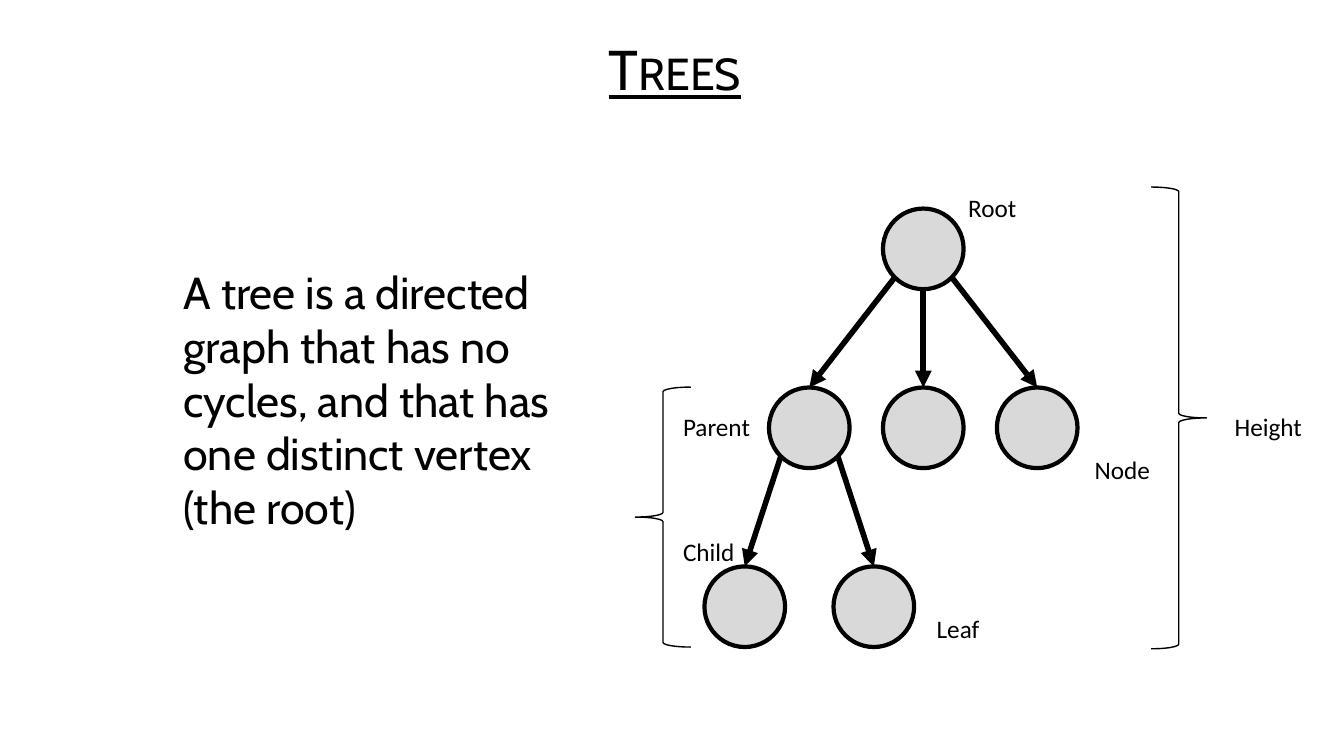
from math import sqrt

from lxml.etree import SubElement
from pptx import Presentation
from pptx.dml.color import RGBColor
from pptx.enum.shapes import MSO_CONNECTOR as Connector, MSO_SHAPE as Preset
from pptx.enum.text import MSO_ANCHOR as Anchor, PP_ALIGN as Align
from pptx.oxml.ns import qn
from pptx.util import Pt

TITLE = "Trees"
DEFINITION = ("A tree is a directed graph that has no cycles, "
              "and that has one distinct vertex (the root)")

# node: (parent, level, steps right of the parent)
NODES = {
    "root": (None, 0, 0),
    "left": ("root", 1, -1),
    "middle": ("root", 1, 0),
    "right": ("root", 1, 1),
    "left child": ("left", 2, -0.5),
    "right child": ("left", 2, 0.5),
}
# text, left, top, width
LABELS = [
    ("Root", 684.5, 134.1, 49),
    ("Parent", 480.8, 290.2, 62.6),
    ("Child", 480.8, 379.6, 51.8),
    ("Leaf", 662, 434.4, 45.4),
    ("Node", 774.8, 320.9, 54.7),
    ("Height", 874.8, 290.2, 63.4),
]
# left, top, width, height, rotation
BRACES = [
    (453.8, 276.5, 39.6, 185.7, 0),
    (822.2, 133.6, 39.6, 329.8, 180),
]

THEME = {
    "ink": RGBColor(0x00, 0x00, 0x00),
    "node": RGBColor(0xD9, 0xD9, 0xD9),
    "heading_font": "Cabin",
    "label_font": "Calibri",
    "title_size": 40,
    "body_size": 32,
    "label_size": 18,
}
ROOT_X, ROOT_Y = 659.5, 177.8
DIAMETER = 57.6
LEVEL_GAP = 127.8
STEPS = {0: 0, 1: 81.4, 2: 92.2}


def add_text(slide, text, left, top, width, height, *, font, size, wrap=True,
             anchor=Anchor.MIDDLE, align=Align.LEFT, inset=7.2,
             line_spacing=None, underline=None, small_caps=False):
    box = slide.shapes.add_textbox(Pt(left), Pt(top), Pt(width), Pt(height))
    frame = box.text_frame
    frame.word_wrap = wrap
    frame.vertical_anchor = anchor
    frame.margin_left = Pt(inset)
    paragraph = frame.paragraphs[0]
    paragraph.alignment = align
    paragraph.line_spacing = line_spacing
    run = paragraph.add_run()
    run.text = text
    run.font.name = font
    run.font.size = Pt(size)
    run.font.color.rgb = THEME["ink"]
    run.font.underline = underline
    if small_caps:
        run.font._element.set("cap", "small")


def add_outlined(slide, preset, left, top, width, height, line_width):
    shape = slide.shapes.add_shape(preset, Pt(left), Pt(top), Pt(width), Pt(height))
    shape.shadow.inherit = False
    shape.fill.background()
    shape.line.color.rgb = THEME["ink"]
    shape.line.width = Pt(line_width)
    return shape


def add_arrow(slide, start, child):
    """Draw an arrow from a point to the top of the child node."""
    arrow = slide.shapes.add_connector(
        Connector.STRAIGHT, Pt(start[0]), Pt(start[1]), child.left, child.top)
    arrow.end_connect(child, 0)
    arrow.line.color.rgb = THEME["ink"]
    arrow.line.width = Pt(4)
    SubElement(arrow.line._get_or_add_ln(), qn("a:tailEnd"), type="triangle")
    SubElement(arrow._element.spPr, qn("a:effectLst"))


def departure_point(center, step):
    """Point on a node's rim: straight below, or 45 degrees to the child's side."""
    radius = DIAMETER / 2
    if step == 0:
        return center[0], center[1] + radius
    offset = radius / sqrt(2)
    return center[0] + (offset if step > 0 else -offset), center[1] + offset


def add_tree(slide):
    centers = {}
    for name, (parent, level, step) in NODES.items():
        parent_x = centers[parent][0] if parent else ROOT_X
        x, y = parent_x + step * STEPS[level], ROOT_Y + level * LEVEL_GAP
        centers[name] = x, y
        node = add_outlined(slide, Preset.OVAL, x - DIAMETER / 2, y - DIAMETER / 2,
                            DIAMETER, DIAMETER, 3)
        node.fill.solid()
        node.fill.fore_color.rgb = THEME["node"]
        if parent:
            add_arrow(slide, departure_point(centers[parent], step), node)


def main():
    presentation = Presentation()
    presentation.slide_width, presentation.slide_height = Pt(960), Pt(540)
    slide = presentation.slides.add_slide(presentation.slide_layouts[6])

    add_text(slide, DEFINITION, 51.8, 95, 388.8, 380.2, inset=79.2,
             font=THEME["heading_font"], size=THEME["body_size"])
    add_text(slide, TITLE, 125.3, 20.9, 708.5, 61.2, inset=12,
             font=THEME["heading_font"], size=THEME["title_size"],
             align=Align.CENTER, line_spacing=0.9, underline=True, small_caps=True)
    add_tree(slide)
    for text, left, top, width in LABELS:
        add_text(slide, text, left, top, width, 29, font=THEME["label_font"],
                 size=THEME["label_size"], wrap=False, anchor=Anchor.TOP)
    for left, top, width, height, rotation in BRACES:
        brace = add_outlined(slide, Preset.LEFT_BRACE, left, top, width, height, 1)
        brace.rotation = rotation

    presentation.save("out.pptx")


if __name__ == "__main__":
    main()
